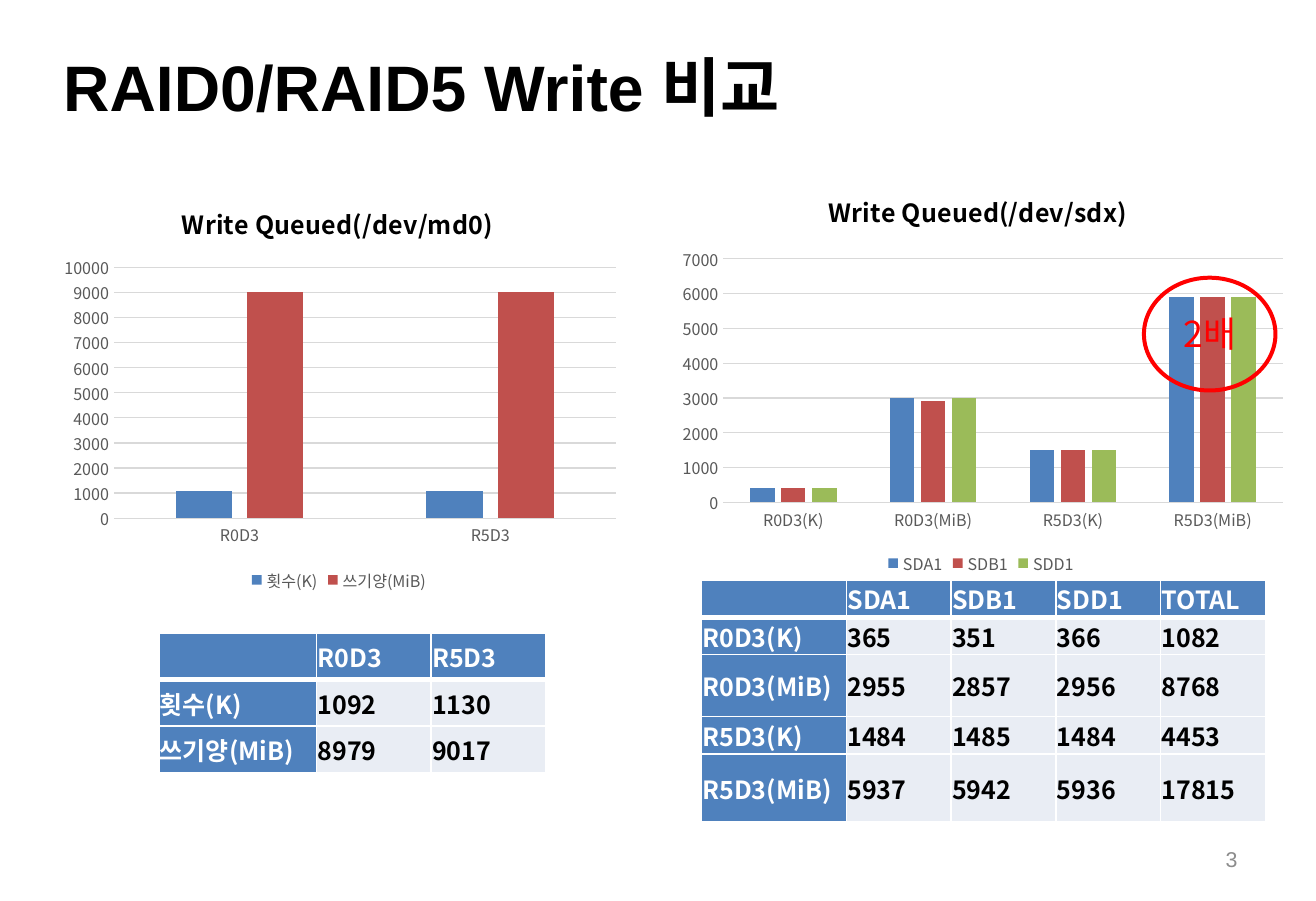
import dataclasses

import lxml.etree
import pptx
import pptx.chart.data
import pptx.dml.color
import pptx.enum.chart
import pptx.enum.shapes
import pptx.enum.text
import pptx.oxml.ns
import pptx.util
from pptx.util import Cm, Pt

qn = pptx.oxml.ns.qn


@dataclasses.dataclass(frozen=True)
class Theme:
    heading_font: str = "Arial"
    body_font: str = "Noto Sans CJK KR"
    black: str = "000000"
    white: str = "FFFFFF"
    label: str = "595959"
    grid: str = "D9D9D9"
    number: str = "8C8C8C"
    mark: str = "FF0000"
    header: str = "4F81BD"
    body: str = "E9EDF4"
    series: tuple = ("4F81BD", "C0504D", "9BBB59")
    title_size: int = 36
    mark_size: int = 20
    table_size: int = 14
    number_size: int = 12
    chart_size: int = 10
    label_size: int = 9


THEME = Theme()
QUEUE_COLUMNS = ["R0D3", "R5D3"]
QUEUE_ROWS = {"횟수(K)": [1092, 1130], "쓰기양(MiB)": [8979, 9017]}
DISKS = ["SDA1", "SDB1", "SDD1"]
DISK_ROWS = {
    "R0D3(K)": [365, 351, 366],
    "R0D3(MiB)": [2955, 2857, 2956],
    "R5D3(K)": [1484, 1485, 1484],
    "R5D3(MiB)": [5937, 5942, 5936],
}


def rgb(color):
    return pptx.dml.color.RGBColor.from_string(color)


def style_font(font, size, color, bold=False, name=THEME.body_font):
    font.name = name
    font.size = Pt(size)
    font.bold = bold
    font.color.rgb = rgb(color)


def write_text(frame, text, size, color, bold=False, name=THEME.body_font, align=None):
    frame.text = text
    para = frame.paragraphs[0]
    para.alignment = align
    for span in para.runs:
        style_font(span.font, size, color, bold, name)
        properties = span._r.get_or_add_rPr()
        lxml.etree.SubElement(properties, qn("a:ea"), typeface=THEME.body_font)


def add_label(page, box, text, size, color, **style):
    frame = page.shapes.add_textbox(*map(Cm, box)).text_frame
    frame.word_wrap = True
    frame.vertical_anchor = pptx.enum.text.MSO_ANCHOR.MIDDLE
    write_text(frame, text, size, color, **style)


def set_layout(parent, position, inner=False):
    for old in parent.findall(qn("c:layout")):
        parent.remove(old)
    layout = lxml.etree.Element(qn("c:layout"))
    manual = lxml.etree.SubElement(layout, qn("c:manualLayout"))
    settings = [("layoutTarget", "inner")] if inner else []
    settings += [("xMode", "edge"), ("yMode", "edge")]
    settings += list(zip("xywh", position))
    for tag, value in settings:
        lxml.etree.SubElement(manual, qn("c:" + tag), val=str(value))
    parent.insert(0 if inner else 1, layout)


def add_write_chart(page, box, title, categories, series, maximum, title_at, plot_at):
    data = pptx.chart.data.CategoryChartData()
    data.categories = categories
    for name, values in series.items():
        data.add_series(name, [round(value, -2) for value in values])
    kind = pptx.enum.chart.XL_CHART_TYPE.COLUMN_CLUSTERED
    chart = page.shapes.add_chart(kind, *map(Cm, box), data).chart
    style_font(chart.font, THEME.chart_size, THEME.black)

    chart.has_title = True
    frame = chart.chart_title.text_frame
    write_text(frame, title, THEME.table_size, THEME.black, bold=True)
    chart.chart_title.include_in_layout = False
    set_layout(chart.chart_title._element, title_at)

    chart.has_legend = True
    chart.legend.position = pptx.enum.chart.XL_LEGEND_POSITION.BOTTOM
    chart.legend.include_in_layout = False
    style_font(chart.legend.font, THEME.label_size, THEME.label)

    for axis in (chart.category_axis, chart.value_axis):
        axis.major_tick_mark = pptx.enum.chart.XL_TICK_MARK.NONE
        axis.minor_tick_mark = pptx.enum.chart.XL_TICK_MARK.NONE
        style_font(axis.tick_labels.font, THEME.label_size, THEME.label)
    chart.value_axis.minimum_scale = 0
    chart.value_axis.maximum_scale = maximum
    chart.value_axis.major_unit = 1000
    chart.value_axis.format.line.fill.background()
    chart.value_axis.has_major_gridlines = True
    for line in (chart.category_axis.format.line, chart.value_axis.major_gridlines.format.line):
        line.color.rgb = rgb(THEME.grid)
        line.width = Pt(0.75)

    plot = chart.plots[0]
    plot.vary_by_categories = False
    plot.gap_width = 219
    plot.overlap = -27
    for bars, color in zip(plot.series, THEME.series):
        bars.format.fill.solid()
        bars.format.fill.fore_color.rgb = rgb(color)
    set_layout(chart._chartSpace.chart.plotArea, plot_at, inner=True)


def set_borders(cell, bottom):
    properties = cell._tc.get_or_add_tcPr()
    for index, (side, width) in enumerate(zip("LRTB", (1, 1, 1, bottom))):
        line = lxml.etree.Element(qn("a:ln" + side), w=str(Pt(width)))
        fill = lxml.etree.SubElement(line, qn("a:solidFill"))
        lxml.etree.SubElement(fill, qn("a:srgbClr"), val=THEME.white)
        properties.insert(index, line)


def add_write_table(page, box, columns, rows, widths, heights):
    grid = [["", *columns]] + [[name, *values] for name, values in rows.items()]
    table = page.shapes.add_table(len(grid), len(grid[0]), *map(Cm, box)).table
    for column, width in zip(table.columns, widths):
        column.width = Cm(width)
    for row, height in zip(table.rows, heights):
        row.height = Cm(height)
    for r, values in enumerate(grid):
        for c, value in enumerate(values):
            cell = table.cell(r, c)
            heading = r == 0 or c == 0
            cell.margin_left = cell.margin_right = cell.margin_top = Cm(0.02)
            cell.margin_bottom = 0
            cell.vertical_anchor = pptx.enum.text.MSO_ANCHOR.MIDDLE
            cell.fill.solid()
            cell.fill.fore_color.rgb = rgb(THEME.header if heading else THEME.body)
            set_borders(cell, 3 if r == 0 else 1)
            color = THEME.white if heading else THEME.black
            write_text(cell.text_frame, str(value), THEME.table_size, color, bold=True)
            if value == "":
                para = cell.text_frame.paragraphs[0]
                size = str(THEME.table_size * 100)
                lxml.etree.SubElement(para._p, qn("a:endParaRPr"), sz=size)


def add_queue_region(page, left, top):
    add_write_chart(page, (left, top, 11.4, 8.13), "Write Queued(/dev/md0)",
                    QUEUE_COLUMNS, QUEUE_ROWS, 10000,
                    (0.22, 0.03), (0.11, 0.2, 0.87, 0.61))
    add_write_table(page, (left + 2.14, top + 8.85, 7.64, 2.76), QUEUE_COLUMNS,
                    QUEUE_ROWS, [3.12, 2.26, 2.26], [0.92] * 3)


def add_disk_region(page, left, top):
    series = dict(zip(DISKS, zip(*DISK_ROWS.values())))
    add_write_chart(page, (left, top, 12.42, 8.03), "Write Queued(/dev/sdx)",
                    list(DISK_ROWS), series, 7000,
                    (0.25, 0.03), (0.09, 0.21, 0.89, 0.6))
    oval = pptx.enum.shapes.MSO_SHAPE.OVAL
    ring = page.shapes.add_shape(oval, Cm(left + 9.43), Cm(top + 2.06), Cm(2.6), Cm(2.23))
    ring.shadow.inherit = False
    ring.fill.background()
    ring.line.color.rgb = rgb(THEME.mark)
    ring.line.width = Pt(2.25)
    totals = {name: [*values, sum(values)] for name, values in DISK_ROWS.items()}
    add_write_table(page, (left + 0.68, top + 8.03, 11.15, 4.78), [*DISKS, "TOTAL"],
                    totals, [2.87] + [2.07] * 4, [0.74, 0.74, 1.22, 0.74, 1.34])
    add_label(page, (left + 8.85, top + 2.6, 3.76, 1.12), "2배", THEME.mark_size,
              THEME.mark, align=pptx.enum.text.PP_ALIGN.CENTER)


def main():
    deck = pptx.Presentation()
    deck.slide_width, deck.slide_height = Cm(26.01), Cm(17.81)
    page = deck.slides.add_slide(deck.slide_layouts[6])
    add_label(page, (1, 0.69, 24, 2), "RAID0/RAID5 Write 비교", THEME.title_size,
              THEME.black, bold=True, name=THEME.heading_font)
    add_label(page, (18.64, 16.51, 6.07, 0.94), "3", THEME.number_size, THEME.number,
              name=THEME.heading_font, align=pptx.enum.text.PP_ALIGN.RIGHT)
    add_queue_region(page, 1, 3.66)
    add_disk_region(page, 13.18, 3.43)
    deck.save("out.pptx")


if __name__ == "__main__":
    main()
